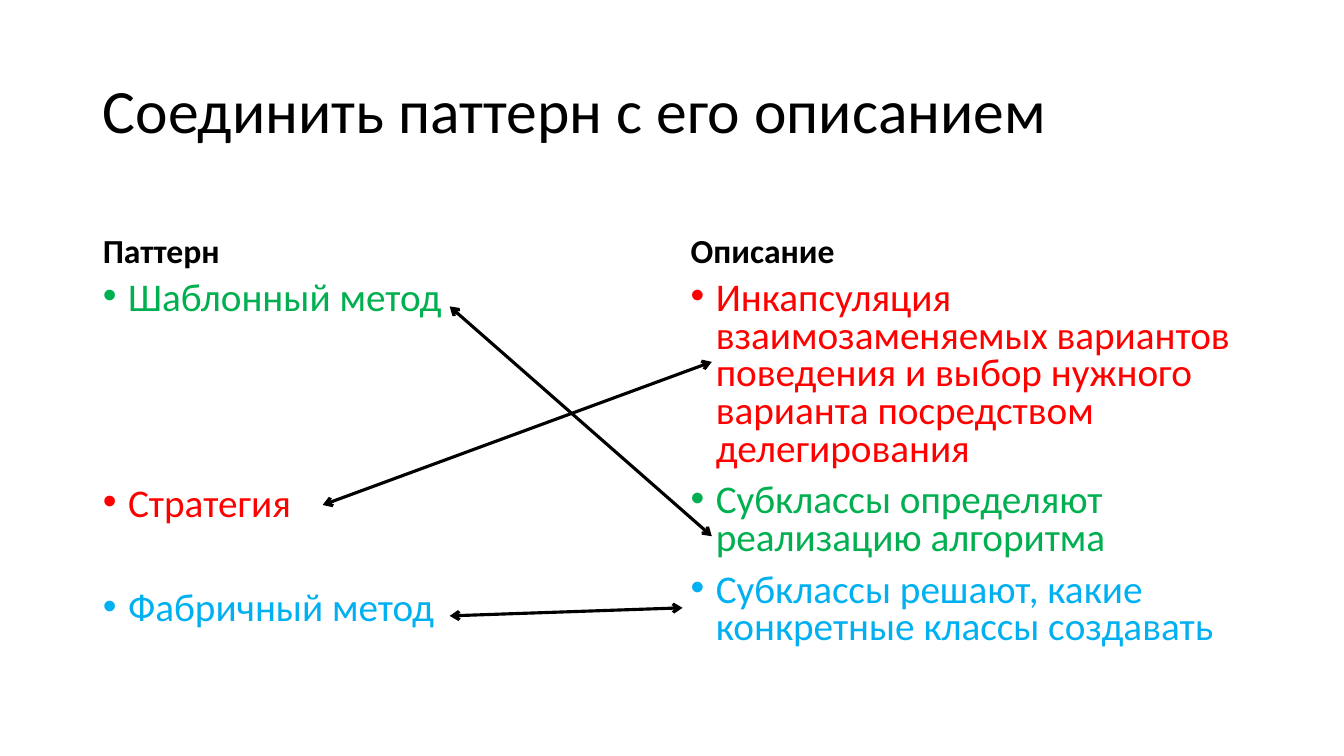
from lxml.etree import SubElement
from pptx import Presentation
from pptx.dml.color import RGBColor
from pptx.enum.shapes import MSO_CONNECTOR as Connector
from pptx.enum.text import MSO_ANCHOR as Anchor, MSO_AUTO_SIZE as AutoSize, PP_ALIGN as Align
from pptx.oxml.ns import qn
from pptx.util import Inches, Pt

COLORS = {
    "text": "000000",
    "template": "00B050",
    "strategy": "FF0000",
    "factory": "00B0F0",
}
TITLE_TOP, TITLE_HEIGHT = 0.4, 1.45
HEADING_TOP, HEADING_HEIGHT = 1.84, 0.9
LIST_TOP, LIST_HEIGHT = 2.74, 4.03
INDENT = Inches(0.25)

# Heading, left, width, then list items: text, color key, space before in points
columns = [
    ("Паттерн", 0.92, 5.64, [
        ("Шаблонный метод", "template", 0),
        ("Стратегия", "strategy", 120),
        ("Фабричный метод", "factory", 48),
    ]),
    ("Описание", 6.75, 5.67, [
        ("Инкапсуляция взаимозаменяемых вариантов поведения и выбор нужного "
         "варианта посредством делегирования", "strategy", 0),
        ("Субклассы определяют реализацию алгоритма", "template", 10),
        ("Субклассы решают, какие конкретные классы создавать", "factory", 10),
    ]),
]
# Start and end of each arrow joining a pattern to its description
matches = [
    ((4.46, 3.04), (7.06, 5.32)),
    ((3.2, 5.01), (7.06, 3.59)),
    ((4.46, 6.11), (6.77, 6.03)),
]


def place(box, left, top, width, height, anchor):
    box.left, box.top = Inches(left), Inches(top)
    box.width, box.height = Inches(width), Inches(height)
    frame = box.text_frame
    frame.word_wrap = True
    frame.auto_size = AutoSize.NONE
    frame.vertical_anchor = anchor
    return frame


def write(para, text, size, color="text", bold=False, spacing=0.9, before=0):
    para.alignment = Align.LEFT
    para.line_spacing = spacing
    para.space_before = Pt(before)
    span = para.add_run()
    span.text = text
    span.font.name = "Calibri"
    span.font.size = Pt(size)
    span.font.bold = bold
    span.font.color.rgb = RGBColor.from_string(COLORS[color])


deck = Presentation()
deck.slide_width, deck.slide_height = Inches(13.33), Inches(7.5)
page = deck.slides.add_slide(deck.slide_layouts.get_by_name("Comparison"))
title, *bodies = page.placeholders

frame = place(title, 0.92, TITLE_TOP, 11.5, TITLE_HEIGHT, Anchor.MIDDLE)
write(frame.paragraphs[0], "Соединить паттерн с его описанием", 44)

for (heading, left, width, items), heading_box, list_box in zip(columns, bodies[::2], bodies[1::2]):
    frame = place(heading_box, left, HEADING_TOP, width, HEADING_HEIGHT, Anchor.BOTTOM)
    write(frame.paragraphs[0], heading, 24, bold=True)

    frame = place(list_box, left, LIST_TOP, width, LIST_HEIGHT, Anchor.TOP)
    for number, (text, color, before) in enumerate(items):
        para = frame.add_paragraph() if number else frame.paragraphs[0]
        write(para, text, 28, color, spacing=0.8, before=before)
        props = para._p.get_or_add_pPr()
        props.set("marL", str(INDENT))
        props.set("indent", str(-INDENT))
        SubElement(props, qn("a:buFont"), typeface="Arial")
        SubElement(props, qn("a:buChar"), char="•")

for start, end in matches:
    arrow = page.shapes.add_connector(Connector.STRAIGHT, *map(Inches, start + end))
    arrow.line.color.rgb = RGBColor.from_string(COLORS["text"])
    arrow.line.width = Pt(2.25)
    for tip in ("a:headEnd", "a:tailEnd"):
        SubElement(arrow.line._get_or_add_ln(), qn(tip), type="arrow")
    SubElement(arrow._element.spPr, qn("a:effectLst"))

deck.save("out.pptx")
